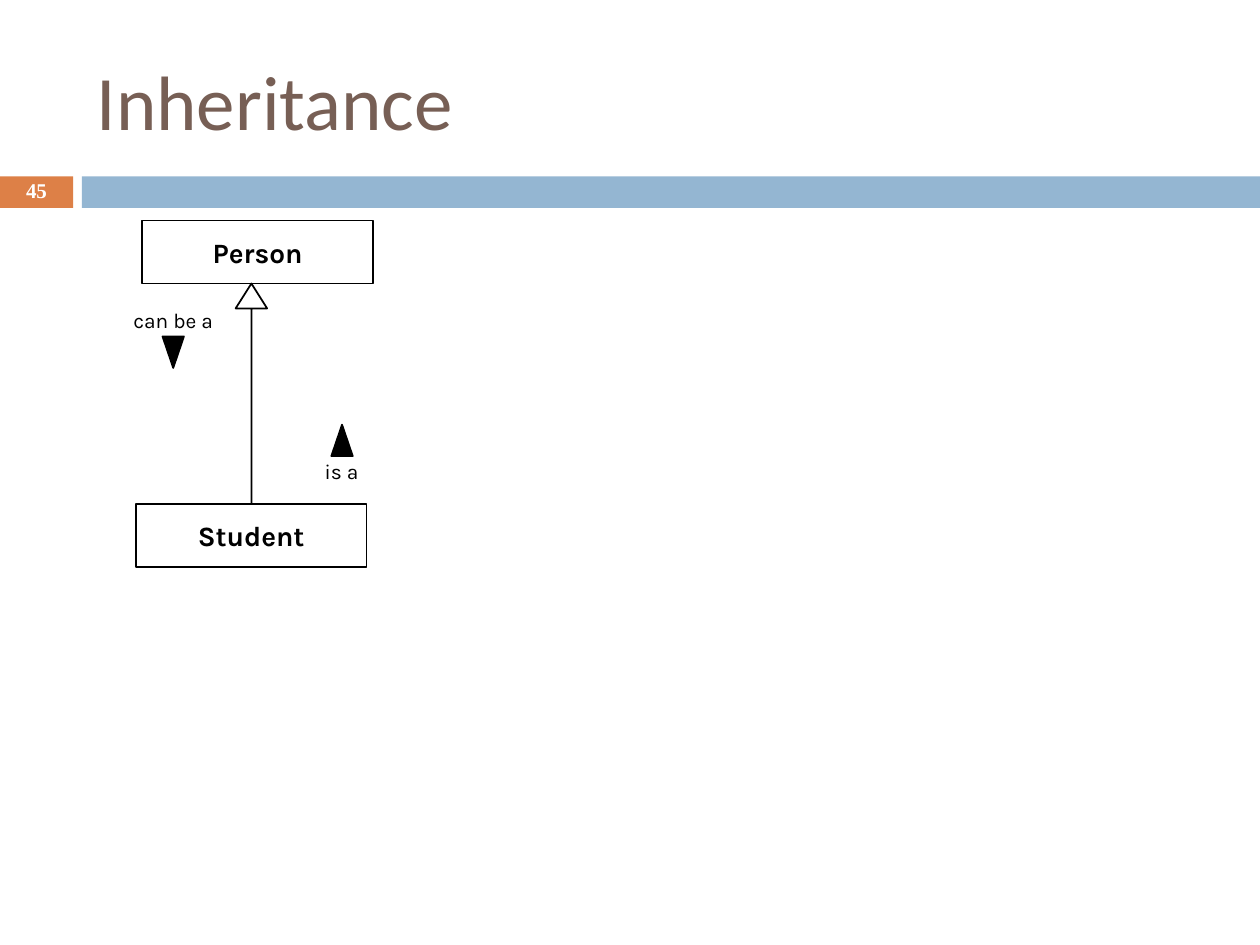
from pptx import Presentation
from pptx.dml.color import RGBColor
from pptx.enum.shapes import MSO_SHAPE
from pptx.enum.text import MSO_ANCHOR, PP_ALIGN
from pptx.util import Inches, Pt

COLORS = {"orange": "DD8047", "blue": "94B6D2", "title": "775F55",
          "white": "FFFFFF", "black": "000000"}

# Places are (left, top, width, height) in inches
BANDS = [((0, 1.4, 0.58, 0.25), "orange"), ((0.65, 1.4, 9.35, 0.25), "blue")]
CLASSES = [("Person", (1.13, 1.75, 1.83, 0.5)), ("Student", (1.08, 4, 1.83, 0.5))]
INHERITANCE_ARROW = (1.87, 2.25, 0.25, 1.75)
# Label, its place, its alignment, direction marker's place and rotation
ROLES = [
    ("is a", (2.17, 3.59, 1.08, 0.3), PP_ALIGN.CENTER, (2.63, 3.37, 0.17, 0.25), 0),
    ("can be a", (0.96, 2.39, 1.08, 0.3), PP_ALIGN.LEFT, (1.29, 2.67, 0.17, 0.25), 180),
]


def rgb(name):
    return RGBColor.from_string(COLORS[name])


def add_shape(slide, kind, place, fill, line=None):
    sp = slide.shapes.add_shape(kind, *map(Inches, place))
    sp.shadow.inherit = False
    sp.fill.solid()
    sp.fill.fore_color.rgb = rgb(fill)
    if line:
        sp.line.color.rgb = rgb(line)
        sp.line.width = Pt(1)
    else:
        sp.line.fill.background()
    return sp


def write(sp, content, size, font, color="black", bold=False,
          align=PP_ALIGN.CENTER, anchor=MSO_ANCHOR.MIDDLE, wrap=True):
    tf = sp.text_frame
    tf.text = content
    tf.word_wrap = wrap
    tf.vertical_anchor = anchor
    p = tf.paragraphs[0]
    p.alignment = align
    f = p.runs[0].font
    f.size, f.name, f.bold = Pt(size), font, bold
    f.color.rgb = rgb(color)
    return p


def add_text(slide, place, *args, **kwargs):
    return write(slide.shapes.add_textbox(*map(Inches, place)), *args, **kwargs)


def main():
    prs = Presentation()
    prs.slide_width, prs.slide_height = Inches(10), Inches(7.5)
    s = prs.slides.add_slide(prs.slide_layouts[6])

    for place, fill in BANDS:
        add_shape(s, MSO_SHAPE.RECTANGLE, place, fill)
    add_text(s, (0.67, 0.25, 8.92, 1.08), "Inheritance", 44, "Calibri", "title",
             align=PP_ALIGN.LEFT)
    number = add_text(s, (0, 1.39, 0.58, 0.27), "45", 12, "Times New Roman",
                      "white", bold=True)
    number.line_spacing = 0.8

    for name, place in CLASSES:
        box = add_shape(s, MSO_SHAPE.RECTANGLE, place, "white", "black")
        write(box, name, 16, "Karla", bold=True, wrap=False)

    arrow = add_shape(s, MSO_SHAPE.DOWN_ARROW, INHERITANCE_ARROW, "white", "black")
    arrow.rotation = 180
    arrow.adjustments[0] = 0
    arrow.adjustments[1] = 0.79

    for label, place, align, marker_place, rotation in ROLES:
        add_text(s, place, label, 12, "Karla", align=align, anchor=MSO_ANCHOR.TOP)
        marker = add_shape(s, MSO_SHAPE.ISOSCELES_TRIANGLE, marker_place,
                           "black", "black")
        marker.rotation = rotation

    prs.save("out.pptx")


if __name__ == "__main__":
    main()
